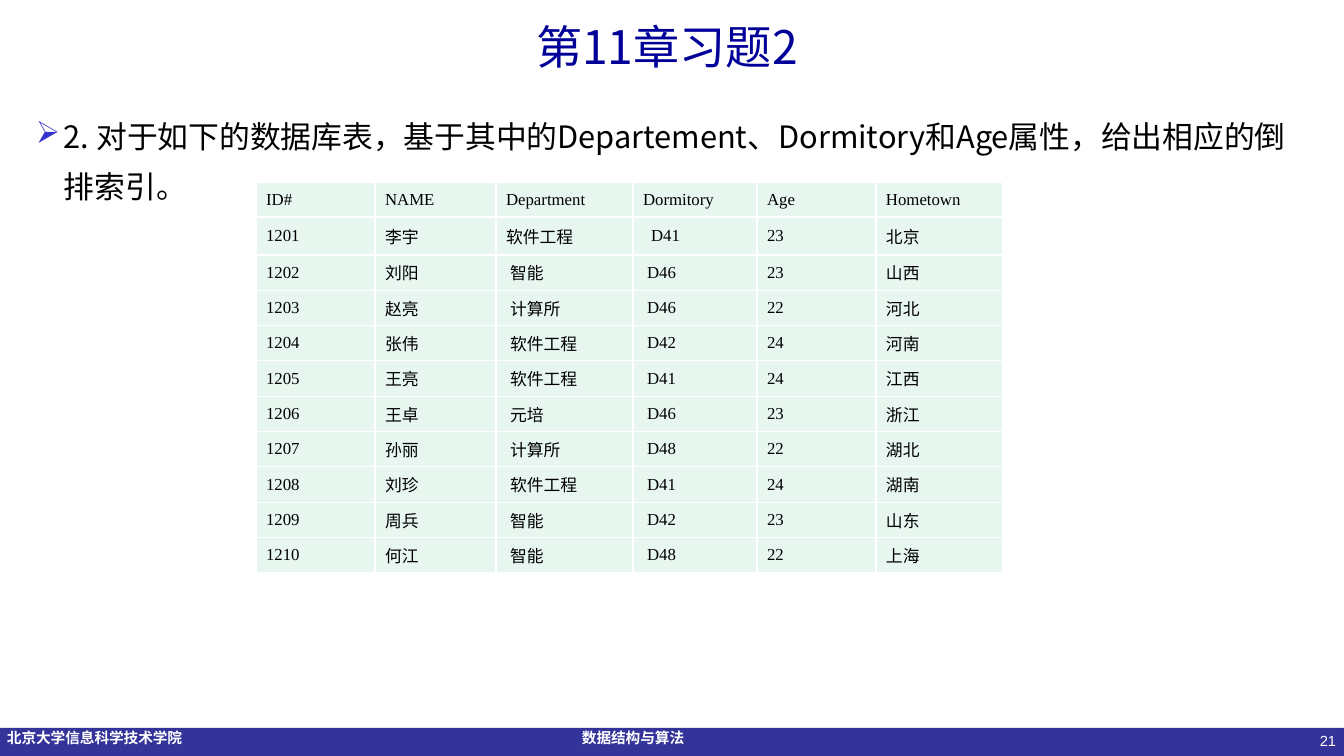
from lxml import etree
from pptx import Presentation, util as u
from pptx.dml.color import RGBColor
from pptx.enum import shapes, text
from pptx.oxml import ns

# Content
TITLE = "第11章习题2"
QUESTION = ("2. 对于如下的数据库表，基于其中的Departement、Dormitory和Age属性，"
            "给出相应的倒排索引。")
HEADER = ("ID#", "NAME", "Department", "Dormitory", "Age", "Hometown")
STUDENTS = [
    ("1201", "李宇", "软件工程", "D41", "23", "北京"),
    ("1202", "刘阳", "智能", "D46", "23", "山西"),
    ("1203", "赵亮", "计算所", "D46", "22", "河北"),
    ("1204", "张伟", "软件工程", "D42", "24", "河南"),
    ("1205", "王亮", "软件工程", "D41", "24", "江西"),
    ("1206", "王卓", "元培", "D46", "23", "浙江"),
    ("1207", "孙丽", "计算所", "D48", "22", "湖北"),
    ("1208", "刘珍", "软件工程", "D41", "24", "湖南"),
    ("1209", "周兵", "智能", "D42", "23", "山东"),
    ("1210", "何江", "智能", "D48", "22", "上海"),
]
ALIGN = text.PP_ALIGN
# Footer: words, box in px, bold, wrap, alignment
FOOTER = [
    ("北京大学信息科学技术学院", (7, 724, 188, 28), True, False, ALIGN.LEFT),
    ("数据结构与算法", (582, 724, 114, 28), True, False, ALIGN.LEFT),
    ("21", (1032, 727, 314, 29), False, True, ALIGN.RIGHT),
]

# Look and layout, in px
COLORS = {"title": "000099", "bar": "333399", "bullet": "3333CC",
          "cell": "E7F6EF", "white": "FFFFFF", "ink": "000000"}
SANS, SERIF, FOOT = "Noto Sans CJK SC", "Times New Roman", "Arial"
COLUMNS = (119, 121, 137, 124, 119, 127)
HEAD_HEIGHT, FIRST_HEIGHT, TABLE_HEIGHT = 35, 38, 391
ROW_HEIGHT = (TABLE_HEIGHT - HEAD_HEIGHT - FIRST_HEIGHT) / (len(STUDENTS) - 1)
INDENTS = {2: 4, 3: 4}  # inset of the department and dormitory columns
FIRST_INDENTS = {3: 8}  # the same for the first student


def px(length):
    return u.Emu(round(length * 914400 / 100.8))


def color(name):
    return RGBColor.from_string(COLORS[name])


def add_run(para, words, size, font, ink, bold=False):
    span = para.add_run()
    span.text = words
    span.font.size, span.font.name, span.font.bold = u.Pt(size), font, bold
    span.font.color.rgb = color(ink)
    if font == SANS:
        properties = span.font.fill._xPr
        etree.SubElement(properties, ns.qn("a:ea"), typeface=font)


def add_bullet(para, mark):
    properties = para._p.get_or_add_pPr()
    properties.set("marL", str(px(28)))
    properties.set("indent", str(-px(28)))
    tint = etree.SubElement(properties, ns.qn("a:buClr"))
    etree.SubElement(tint, ns.qn("a:srgbClr"), val=COLORS["bullet"])
    etree.SubElement(properties, ns.qn("a:buChar"), char=mark)


def add_borders(cell):
    properties = cell._tc.get_or_add_tcPr()
    for place, side in enumerate(("lnL", "lnR", "lnT", "lnB")):
        line = etree.Element(ns.qn("a:" + side), w=str(u.Pt(1)))
        fill = etree.SubElement(line, ns.qn("a:solidFill"))
        etree.SubElement(fill, ns.qn("a:srgbClr"), val=COLORS["white"])
        properties.insert(place, line)


deck = Presentation()
deck.slide_width, deck.slide_height = px(1344), px(756)
page = deck.slides.add_slide(deck.slide_layouts[5])

# Footer bar
bar = page.shapes.add_shape(shapes.MSO_SHAPE.RECTANGLE, *map(px, (0, 728, 1344, 28)))
bar.shadow.inherit = False
bar.fill.solid()
bar.fill.fore_color.rgb = color("bar")
bar.line.fill.background()
for words, place, bold, wrap, align in FOOTER:
    box = page.shapes.add_textbox(*map(px, place))
    box.text_frame.word_wrap = wrap
    box.text_frame.margin_left = 0
    para = box.text_frame.paragraphs[0]
    para.alignment = align
    add_run(para, words, 10.5, FOOT, "white", bold)

# Title
title = page.shapes.title
title.left, title.top, title.width, title.height = map(px, (0, 0, 1344, 92))
frame = title.text_frame
frame.margin_left, frame.margin_right = px(20), px(30)
frame.vertical_anchor = text.MSO_ANCHOR.MIDDLE
frame.paragraphs[0].alignment = ALIGN.CENTER
add_run(frame.paragraphs[0], TITLE, 33, SANS, "title")

# Question
box = page.shapes.add_textbox(*map(px, (26, 100, 1291, 611)))
box.text_frame.word_wrap = True
para = box.text_frame.paragraphs[0]
para.line_spacing, para.space_before = 1.35, u.Pt(4.4)
add_bullet(para, "➢")
add_run(para, QUESTION, 22, SANS, "ink")

# Student table
rows = [HEADER] + STUDENTS
table = page.shapes.add_table(len(rows), len(COLUMNS), px(256), px(182),
                              px(sum(COLUMNS)), px(TABLE_HEIGHT)).table
table.first_row = table.horz_banding = False
for column, width in zip(table.columns, COLUMNS):
    column.width = px(width)
for r, row in enumerate(rows):
    table.rows[r].height = px((HEAD_HEIGHT, FIRST_HEIGHT)[r] if r < 2 else ROW_HEIGHT)
    indents = ({}, FIRST_INDENTS)[r] if r < 2 else INDENTS
    for c, words in enumerate(row):
        cell = table.cell(r, c)
        cell.fill.solid()
        cell.fill.fore_color.rgb = color("cell")
        cell.vertical_anchor = text.MSO_ANCHOR.MIDDLE
        add_borders(cell)
        para = cell.text_frame.paragraphs[0]
        para.alignment = ALIGN.JUSTIFY
        if c in indents:
            para._p.get_or_add_pPr().set("indent", str(px(indents[c])))
        add_run(para, words, 12, SERIF, "ink")

deck.save("out.pptx")
